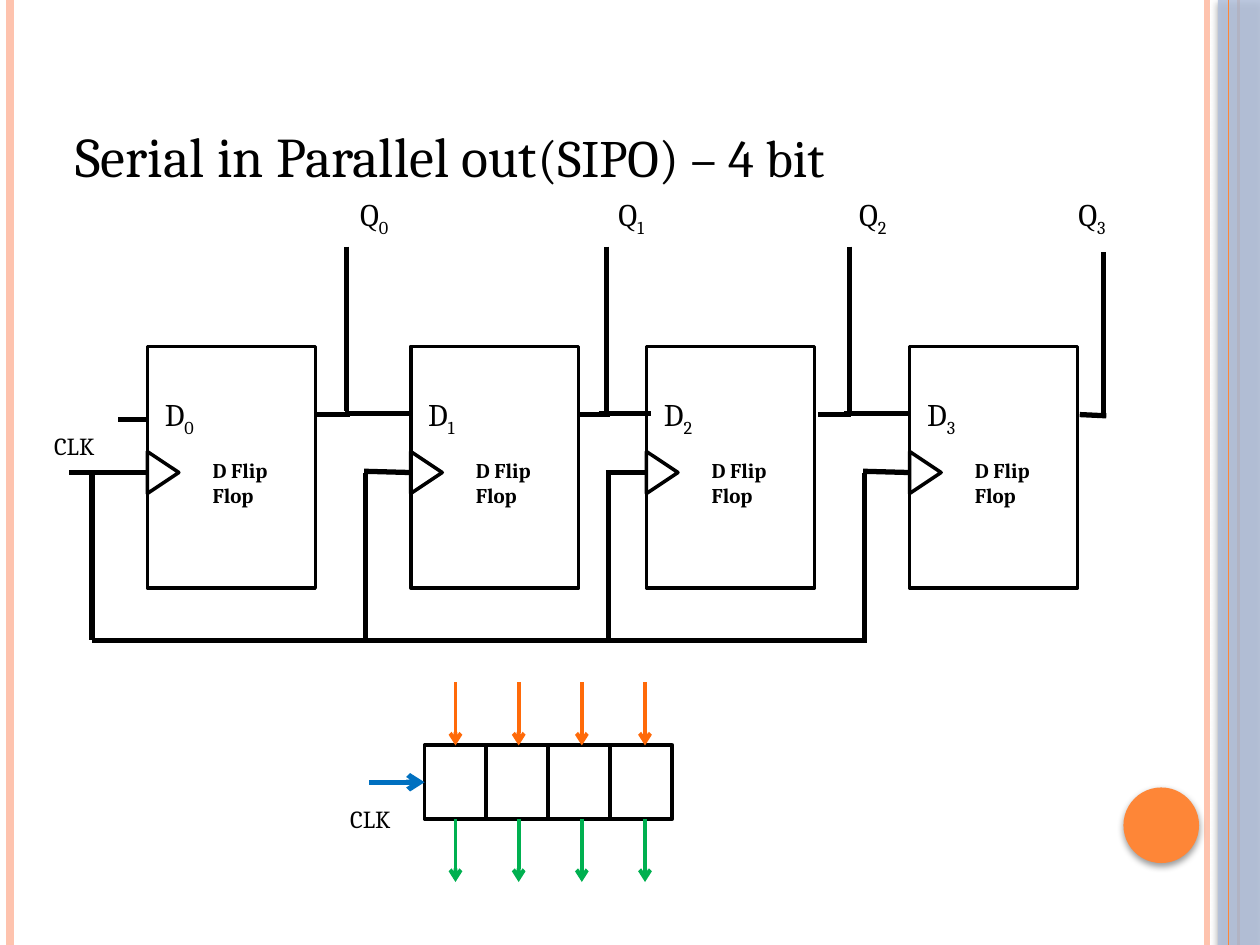
import pptx
import pptx.util
import pptx.dml.color
import pptx.enum.shapes
import pptx.enum.text
import pptx.oxml
import pptx.oxml.ns

Pt = pptx.util.Pt
SHAPE = pptx.enum.shapes.MSO_SHAPE
FONT = "Cambria"
BLACK, ORANGE, BLUE, GREEN = "000000", "FF6A09", "0070C0", "00B050"
ACCENT, PEACH, BAND = "FE8637", "FEC3AE", "B3C1DB"

# Content: all lengths in points
TITLE = [("Serial in Parallel out", 32), ("(SIPO) – 4 bit", 30)]
FLIP_FLOPS = [84.2, 234.7, 369.4, 519.8]  # left edges
FLIP_FLOP_TOP, FLIP_FLOP_WIDTH, FLIP_FLOP_HEIGHT = 198, 96, 138
OUTPUTS = [  # label left, wire x, wire top, wire bottom
    (198.7, 198, 141, 234.7),
    (346.3, 346.5, 141, 234.7),
    (483.8, 485.3, 141, 234.7),
    (609.1, 630.7, 144, 237.6),
]
CLOCK_BUS = 366
CLOCK_DROPS = [(52.6, 270.7), (208.8, 270), (347.8, 270.7), (493.9, 270)]  # x, top
WIRES = [
    # clock inputs
    (39.6, 270, 84.2, 270), (208.1, 269.3, 234, 270),
    (346.3, 270, 369.4, 270), (493.2, 269.3, 519.1, 270),
    # data path
    (67.7, 239.8, 83.5, 239.8),
    (180, 236.9, 200.2, 236.9), (197.3, 236.2, 234.7, 236.2),
    (329.8, 236.9, 348.5, 236.9), (342, 236.2, 372.2, 236.2),
    (467.3, 236.9, 486, 236.9), (482.4, 236.2, 519.8, 236.2),
    (617, 236.9, 632.2, 237.6),
    # clock bus
    (52.6, CLOCK_BUS, 495.4, CLOCK_BUS),
]
CLOCK_LABELS = [(23.8, 242.6, 54.7), (193, 455.8, 46.8)]  # left, top, width
REGISTER_LEFT, REGISTER_TOP, CELL_WIDTH, CELL_HEIGHT = 242.6, 426, 35.4, 42
ARROW_LEFT, ARROW_STEP, ARROW_LENGTH = 260.3, 36.1, 36
STRIPES = [(689.8, PEACH, 3), (5.8, PEACH, 4.5), (707.8, ACCENT, 1.5)]  # x, colour, width

deck = pptx.Presentation()
deck.slide_width, deck.slide_height = Pt(720), Pt(540)
page = deck.slides.add_slide(deck.slide_layouts[5])


def color(value):
    return pptx.dml.color.RGBColor.from_string(value)


def add_xml(parent, markup):
    namespace = pptx.oxml.ns.nsdecls("a")
    element = pptx.oxml.parse_xml(markup.replace(" ", f" {namespace} ", 1))
    parent.append(element)


def add_line(x1, y1, x2, y2, line_color=BLACK, width=3, arrow=False):
    line = page.shapes.add_connector(
        pptx.enum.shapes.MSO_CONNECTOR.STRAIGHT, Pt(x1), Pt(y1), Pt(x2), Pt(y2))
    line.line.color.rgb = color(line_color)
    line.line.width = Pt(width)
    if arrow:
        add_xml(line.line._get_or_add_ln(), '<a:tailEnd type="arrow"/>')
    add_xml(line._element.spPr, "<a:effectLst />")


def add_box(kind, left, top, width, height, fill=None, line_width=0):
    box = page.shapes.add_shape(kind, Pt(left), Pt(top), Pt(width), Pt(height))
    box.shadow.inherit = False
    if fill:
        box.fill.solid()
        box.fill.fore_color.rgb = color(fill)
    else:
        box.fill.background()
    if line_width:
        box.line.color.rgb = color(BLACK)
        box.line.width = Pt(line_width)
    else:
        box.line.fill.background()
    return box


def cast_shadow(box):
    effects = box._element.spPr.find(pptx.oxml.ns.qn("a:effectLst"))
    add_xml(effects, f'<a:outerShdw blurRad="{Pt(4)}" dist="{Pt(2)}" dir="5400000" '
            'rotWithShape="0"><a:srgbClr val="000000"><a:alpha val="40000"/>'
            '</a:srgbClr></a:outerShdw>')


def add_span(para, text, size, bold=False, subscript=False):
    span = para.add_run()
    span.text = text
    span.font.name = FONT
    span.font.size = Pt(size)
    span.font.bold = bold
    span.font.color.rgb = color(BLACK)
    if subscript:
        span.font._element.set("baseline", "-25000")


def add_label(left, top, width, height, text, size, index=None, bold=False):
    box = page.shapes.add_textbox(Pt(left), Pt(top), Pt(width), Pt(height))
    box.text_frame.word_wrap = True
    para = box.text_frame.paragraphs[0]
    add_span(para, text, size, bold)
    if index is not None:
        add_span(para, str(index), size, bold, subscript=True)


# Side decoration
for x, stripe_color, width in STRIPES:
    add_line(x, 0, x, 540, stripe_color, width)
band = add_box(SHAPE.RECTANGLE, 696, 0, 24, 540, BAND)
add_xml(band.fill.fore_color._xFill[0], '<a:alpha val="87000"/>')
cast_shadow(band)
add_line(702, 0, 702, 540, ACCENT, 0.75)
cast_shadow(add_box(SHAPE.OVAL, 642, 450, 43.2, 43.2, ACCENT))

# Title
title = page.shapes.title
title.left, title.top, title.width, title.height = Pt(36), Pt(21.6), Pt(588), Pt(90)
title.text_frame.word_wrap = True
title.text_frame.auto_size = pptx.enum.text.MSO_AUTO_SIZE.NONE
title.text_frame.vertical_anchor = pptx.enum.text.MSO_ANCHOR.BOTTOM
title_para = title.text_frame.paragraphs[0]
title_para.alignment = pptx.enum.text.PP_ALIGN.LEFT
for text, size in TITLE:
    add_span(title_para, text, size)

# Flip-flops with their clock triangles
for index, left in enumerate(FLIP_FLOPS):
    add_box(SHAPE.RECTANGLE, left, FLIP_FLOP_TOP, FLIP_FLOP_WIDTH, FLIP_FLOP_HEIGHT,
            line_width=2)
    clock = add_box(SHAPE.ISOSCELES_TRIANGLE, left - 3, 261, 24, 18, line_width=2)
    clock.rotation = 90
    add_label(left + 2.9, 222, 45, 31.5, "D", 18, index)
    add_label(left + 30.2, 258, 66, 36, "D Flip Flop", 12, bold=True)

# Wires, outputs and clock labels
for wire in WIRES:
    add_line(*wire)
for x, top in CLOCK_DROPS:
    add_line(x, top, x, CLOCK_BUS)
for index, (left, x, top, bottom) in enumerate(OUTPUTS):
    add_line(x, top, x, bottom)
    add_label(left, 108, 44.6, 31.5, "Q", 18, index)
for left, top, width in CLOCK_LABELS:
    add_label(left, top, width, 24, "CLK", 14)

# Register cells with parallel arrows
register_bottom = REGISTER_TOP + CELL_HEIGHT
for index in range(len(FLIP_FLOPS)):
    add_box(SHAPE.RECTANGLE, REGISTER_LEFT + index * CELL_WIDTH, REGISTER_TOP,
            CELL_WIDTH, CELL_HEIGHT, line_width=2.25)
    x = ARROW_LEFT + index * ARROW_STEP
    for start, arrow_color in ((REGISTER_TOP - ARROW_LENGTH, ORANGE),
                               (register_bottom, GREEN)):
        add_line(x, start, x, start + ARROW_LENGTH, arrow_color, 2.25, arrow=True)
add_line(211, 447, REGISTER_LEFT, 447, BLUE, 3, arrow=True)

deck.save("out.pptx")
